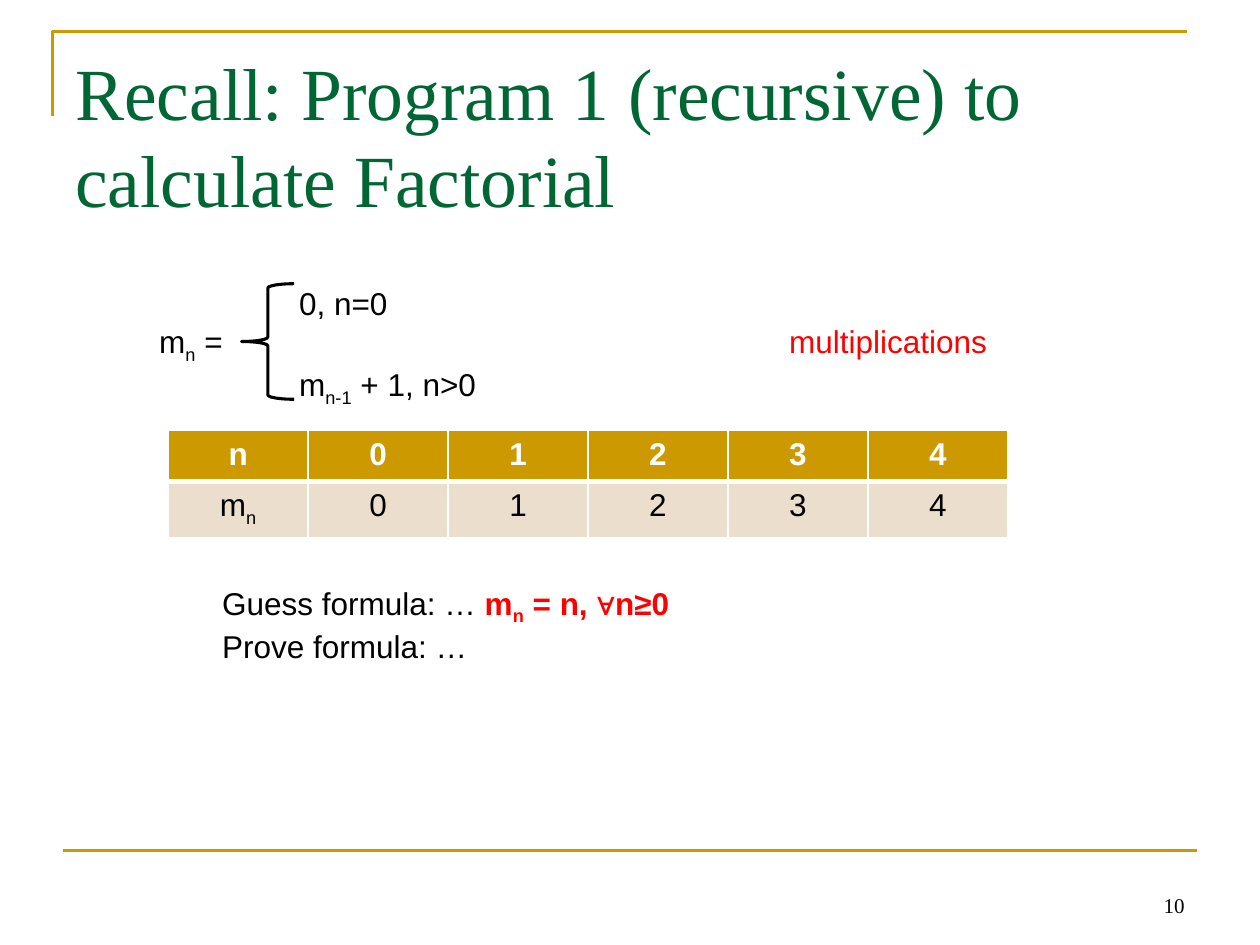
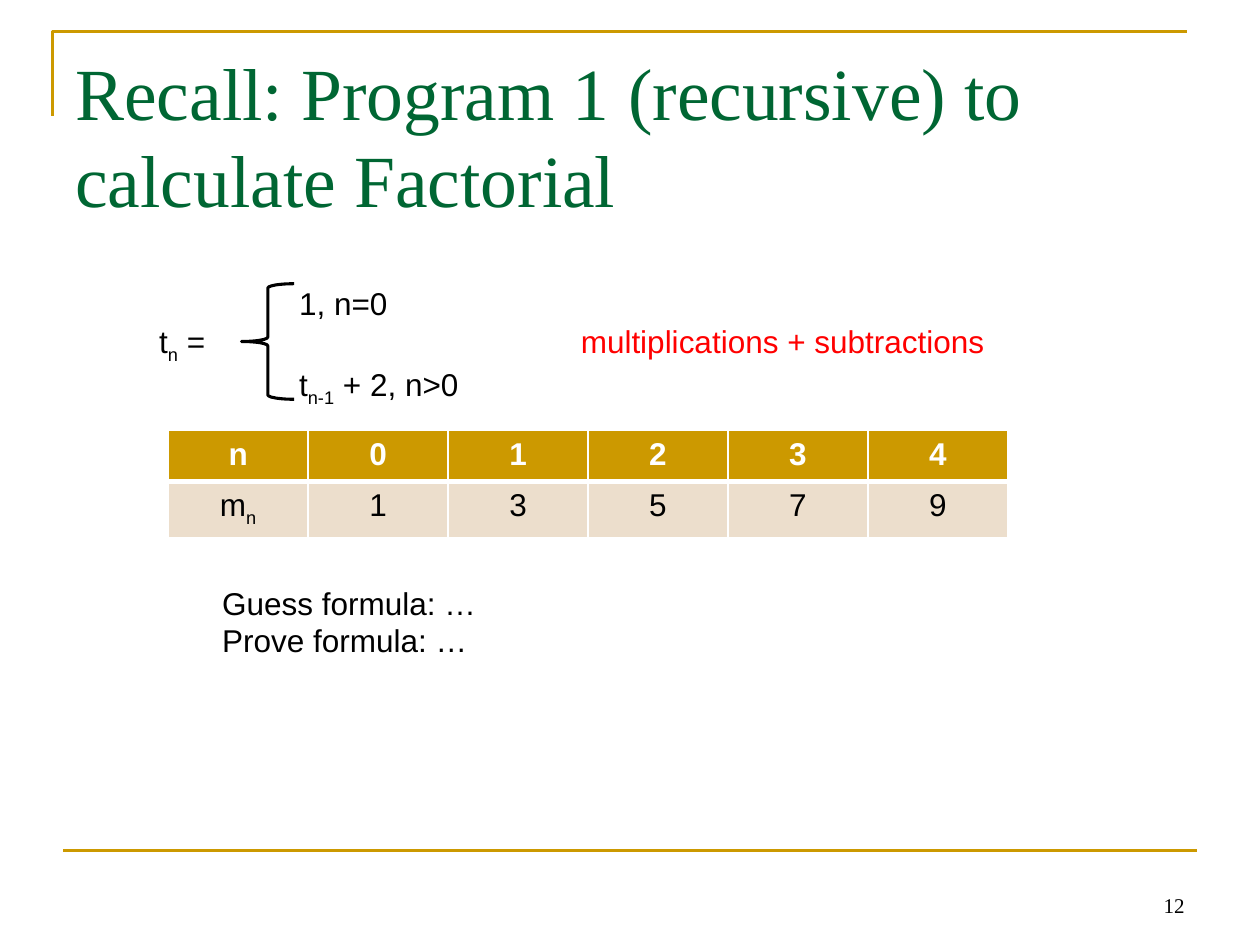
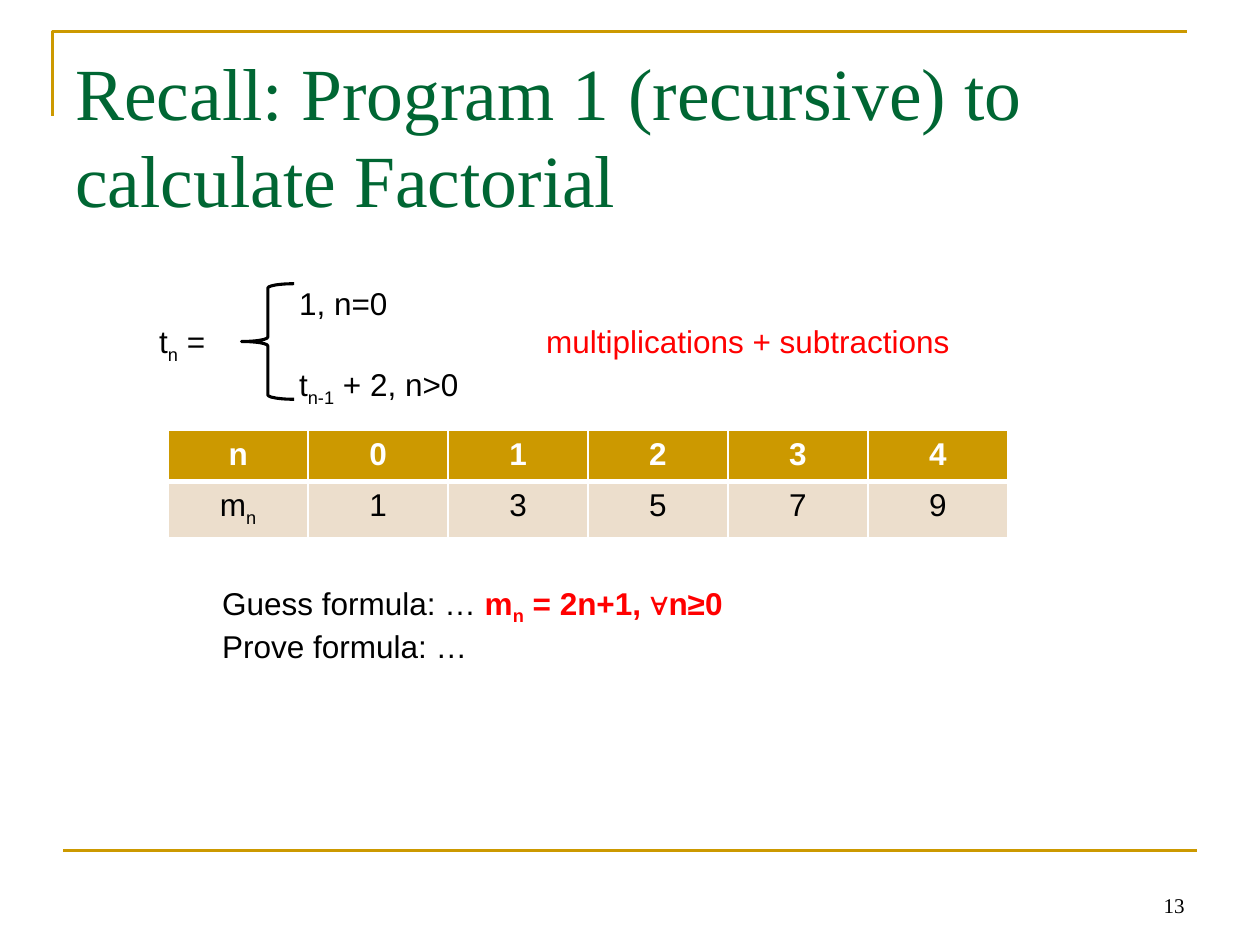
from dataclasses import dataclass
from typing import NamedTuple

from lxml.etree import SubElement
from pptx import Presentation
from pptx.dml.color import RGBColor
from pptx.enum.shapes import MSO_CONNECTOR, MSO_SHAPE
from pptx.enum.text import MSO_ANCHOR, PP_ALIGN
from pptx.oxml.ns import qn
from pptx.util import Cm, Pt

GOLD = RGBColor(0xCC, 0x99, 0x00)
SAND = RGBColor(0xEC, 0xDE, 0xCC)
GREEN = RGBColor(0x00, 0x66, 0x33)
RED = RGBColor(0xFF, 0x00, 0x00)
BLACK = RGBColor(0x00, 0x00, 0x00)
WHITE = RGBColor(0xFF, 0xFF, 0xFF)

SERIF = "Times New Roman"
SANS = "Arial"
TITLE = "Recall: Program 1 (recursive) to calculate Factorial"
STEPS = range(5)


class Part(NamedTuple):
    text: str
    color: RGBColor = BLACK
    bold: bool = False
    sub: bool = False


@dataclass
class Recurrence:
    number: int
    symbol: str
    base: int
    step: int
    counted: str
    counted_tab: float
    guess: str
    guess_width: float

    def values(self) -> list[int]:
        return [self.base + self.step * n for n in STEPS]


RECURRENCES = [
    Recurrence(10, "m", 0, 1, "multiplications", 12.7, "n", 16.51),
    Recurrence(12, "t", 1, 2, "multiplications + subtractions", 8.5, "", 15.24),
    Recurrence(13, "t", 1, 2, "multiplications + subtractions", 7.8, "2n+1", 15.24),
]


def style_run(r, size: float, font: str, color: RGBColor, bold: bool = False) -> None:
    r.font.size = Pt(size)
    r.font.name = font
    r.font.color.rgb = color
    r.font.bold = bold


def add_parts(p, parts: list[Part]) -> None:
    for part in parts:
        r = p.add_run()
        r.text = part.text
        style_run(r, 18, SANS, part.color, part.bold)
        if part.sub:
            r.font._element.set("baseline", "-25000")


def add_text_frame(s, left: float, top: float, width: float, height: float):
    tf = s.shapes.add_textbox(Cm(left), Cm(top), Cm(width), Cm(height)).text_frame
    tf.word_wrap = True
    return tf


def add_frame_lines(s) -> None:
    builder = s.shapes.build_freeform(Cm(1.06), Cm(2.33))
    builder.add_line_segments([(Cm(1.06), Cm(0.64)), (Cm(23.92), Cm(0.64))], close=False)
    corner = builder.convert_to_shape()
    corner.fill.background()
    corner.shadow.inherit = False
    rule = s.shapes.add_connector(
        MSO_CONNECTOR.STRAIGHT, Cm(1.27), Cm(17.15), Cm(24.13), Cm(17.15)
    )
    SubElement(rule._element.spPr, qn("a:effectLst"))
    for sp in (corner, rule):
        sp.line.color.rgb = GOLD
        sp.line.width = Pt(1.5)


def add_title(s) -> None:
    tf = add_text_frame(s, 1.27, 0.76, 22.86, 3.18)
    tf.margin_top = Cm(0.2)
    tf.text = TITLE
    p = tf.paragraphs[0]
    p.line_spacing = Pt(50)
    style_run(p.runs[0], 42, SERIF, GREEN)


def add_slide_number(s, number: int) -> None:
    tf = add_text_frame(s, 18.2, 17.36, 5.93, 1.27)
    tf.vertical_anchor = MSO_ANCHOR.BOTTOM
    tf.text = str(number)
    p = tf.paragraphs[0]
    p.alignment = PP_ALIGN.RIGHT
    style_run(p.runs[0], 12, SERIF, BLACK)


def add_tab_stop(p, position: float) -> None:
    tabs = SubElement(p._p.get_or_add_pPr(), qn("a:tabLst"))
    SubElement(tabs, qn("a:tab"), pos=str(Cm(position)), algn="l")


def add_definition(s, rec: Recurrence) -> None:
    """Write the two cases of the recurrence and the brace that joins them."""
    tf = add_text_frame(s, 2.96, 4.87, 19.05, 3.33)
    tf.margin_top = Cm(0.86)
    base_case = tf.paragraphs[0]
    name = tf.add_paragraph()
    step_case = tf.add_paragraph()
    for p in (base_case, step_case):
        p._p.get_or_add_pPr().set("marL", str(Cm(2.82)))
        p._p.get_or_add_pPr().set("indent", "0")
    add_tab_stop(name, rec.counted_tab)

    add_parts(base_case, [Part(f"{rec.base}, n=0")])
    add_parts(name, [Part(rec.symbol), Part("n", sub=True), Part(" =\t"), Part(rec.counted, RED)])
    add_parts(step_case, [Part(rec.symbol), Part("n-1", sub=True), Part(f" + {rec.step}, n>0")])

    brace = s.shapes.add_shape(MSO_SHAPE.LEFT_BRACE, Cm(4.87), Cm(5.72), Cm(1.06), Cm(2.33))
    brace.shadow.inherit = False
    brace.fill.background()
    brace.line.color.rgb = BLACK
    brace.line.width = Pt(1.75)


def set_cell(cell, parts: list[Part], fill: RGBColor, borders: dict[str, float]) -> None:
    p = cell.text_frame.paragraphs[0]
    p.alignment = PP_ALIGN.CENTER
    add_parts(p, parts)
    tcPr = cell._tc.get_or_add_tcPr()
    for side, width in borders.items():
        ln = SubElement(tcPr, qn(f"a:ln{side}"), w=str(Pt(width)))
        color = SubElement(SubElement(ln, qn("a:solidFill")), qn("a:srgbClr"))
        color.set("val", str(WHITE))
    cell.fill.solid()
    cell.fill.fore_color.rgb = fill


def add_value_table(s, values: list[int]) -> None:
    header = [[Part(text, WHITE, True)] for text in ("n", *map(str, STEPS))]
    body = [[Part("m"), Part("n", sub=True)]] + [[Part(str(v))] for v in values]
    table = s.shapes.add_table(
        2, len(header), Cm(3.39), Cm(8.68), Cm(16.93), Cm(2.06)
    ).table
    rows = [
        (header, GOLD, {"L": 1, "R": 1, "T": 1, "B": 3}),
        (body, SAND, {"L": 1, "R": 1, "B": 1}),
    ]
    for i, (cells, fill, borders) in enumerate(rows):
        for j, parts in enumerate(cells):
            set_cell(table.cell(i, j), parts, fill, borders)


def add_conclusion(s, rec: Recurrence) -> None:
    tf = add_text_frame(s, 4.23, 11.64, rec.guess_width, 1.8)
    guess = [Part("Guess formula: …")]
    if rec.guess:
        guess += [
            Part(" m", RED, True),
            Part("n", RED, True, sub=True),
            Part(f" = {rec.guess}, ∀n≥0", RED, True),
        ]
    add_parts(tf.paragraphs[0], guess)
    add_parts(tf.add_paragraph(), [Part("Prove formula: …")])


def main() -> None:
    prs = Presentation()
    prs.slide_width = Cm(25.4)
    prs.slide_height = Cm(19.05)
    for rec in RECURRENCES:
        s = prs.slides.add_slide(prs.slide_layouts[6])
        add_frame_lines(s)
        add_title(s)
        add_slide_number(s, rec.number)
        add_definition(s, rec)
        add_value_table(s, rec.values())
        add_conclusion(s, rec)
    prs.save("out.pptx")


if __name__ == "__main__":
    main()
